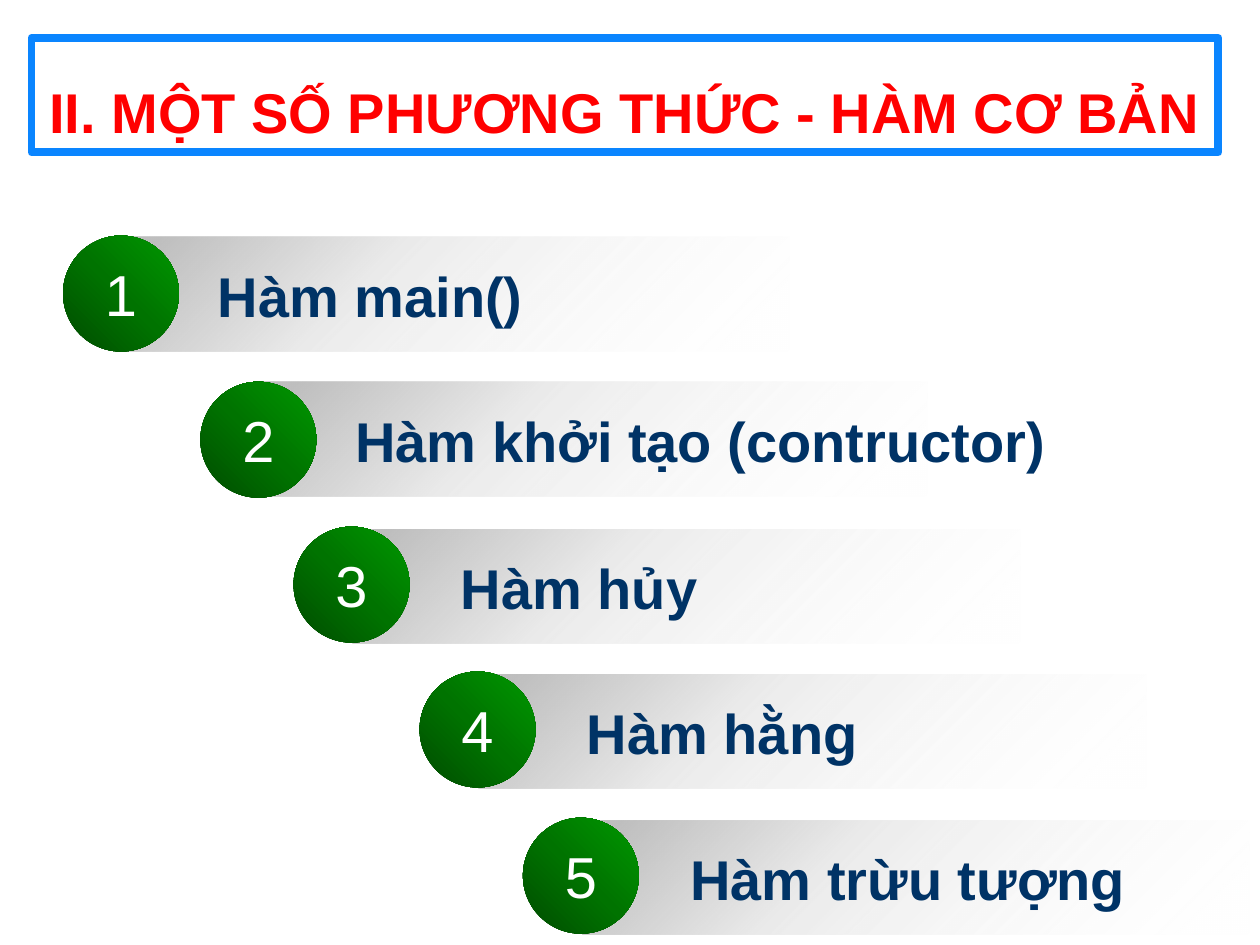
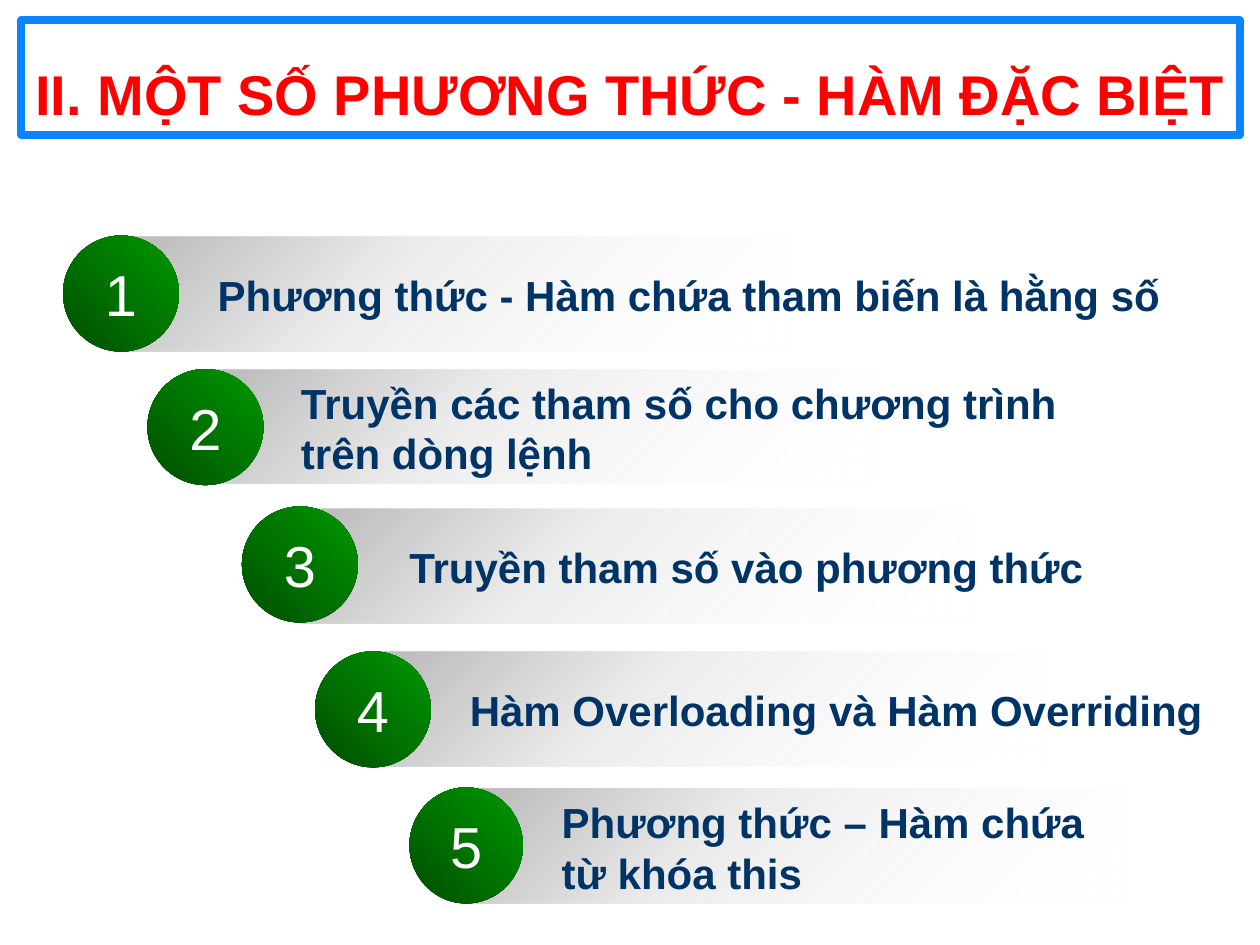
"""Builds two slides, each a framed title over five numbered steps."""
from lxml.etree import SubElement
from pptx import Presentation
from pptx.dml.color import RGBColor
from pptx.enum.shapes import MSO_SHAPE
from pptx.enum.text import MSO_ANCHOR, MSO_AUTO_SIZE, PP_ALIGN
from pptx.oxml import parse_xml
from pptx.util import Pt

PX = 9144
NS = "http://schemas.openxmlformats.org/drawingml/2006/main"
BAR_HEIGHT, BAR_WIDTH, BAR_INDENT, BADGE = 91, 530, 47, 92
TITLE_FORMAT = {"size": Pt(32), "bold": True, "name": "Arial"}
BADGE_FORMAT = {"size": Pt(33), "bold": False, "name": "Arial"}
GROW = {"word_wrap": True, "auto_size": MSO_AUTO_SIZE.SHAPE_TO_FIT_TEXT}
TITLE_FRAME = GROW | {"vertical_anchor": MSO_ANCHOR.TOP}
LABEL_FRAME = GROW | {"vertical_anchor": MSO_ANCHOR.MIDDLE}
BADGE_FRAME = {"word_wrap": False, "vertical_anchor": MSO_ANCHOR.MIDDLE,
               "margin_left": 6 * PX, "margin_right": 6 * PX,
               "margin_top": 7 * PX, "margin_bottom": 7 * PX}
BAR_FADE = (45, [(5, "BFBFBF", 100), (37, "BFBFBF", 31), (100, "FFFFFF", 0)])
BADGE_FADE = (315, [(0, "004C00", 100), (50, "007300", 100), (100, "009900", 100)])

AGENDAS = [
    ("II. MỘT SỐ PHƯƠNG THỨC - HÀM CƠ BẢN", (25, 30, 942, 91), 32, [
        ("Hàm main()", 50, 187, 1, 66, 470, 64, BAR_WIDTH),
        ("Hàm khởi tạo (contructor)", 159, 303, 0, 66, 579, 64, BAR_WIDTH),
        ("Hàm hủy", 233, 418, 2, 76, 454, 64, BAR_WIDTH),
        ("Hàm hằng", 333, 533, 2, 76, 454, 64, BAR_WIDTH),
        ("Hàm trừu tượng", 415, 649, 2, 76, 454, 64, BAR_WIDTH)]),
    ("II. MỘT SỐ PHƯƠNG THỨC - HÀM ĐẶC BIỆT", (17, 16, 967, 91), 24, [
        ("Phương thức - Hàm chứa tham biến là hằng số",
         50, 187, 1, 66, 796, 50, BAR_WIDTH),
        ("Truyền các tham số cho chương trình\vtrên dòng lệnh",
         117, 293, 0, 65, 679, 91, BAR_WIDTH),
        ("Truyền tham số vào phương thức", 192, 402, 2, 76, 686, 50, BAR_WIDTH),
        ("Hàm Overloading và Hàm Overriding", 250, 517, 0, 66, 621, 50, BAR_WIDTH),
        ("Phương thức – Hàm chứa từ khóa this", 325, 625, 1, 64, 456, 91, 520)]),
]


def color(value):
    return RGBColor.from_string(value)


def write(holder, text, ink, font_format, frame_format, align):
    frame = holder.text_frame
    for name, value in frame_format.items():
        setattr(frame, name, value)
    paragraph = frame.paragraphs[0]
    paragraph.text = text
    paragraph.alignment = align
    for run in paragraph.runs:
        run.font.color.rgb = color(ink)
        for name, value in font_format.items():
            setattr(run.font, name, value)
    return paragraph


deck = Presentation()
deck.slide_width, deck.slide_height = 1000 * PX, 750 * PX

for heading, heading_box, label_size, steps in AGENDAS:
    slide = deck.slides.add_slide(deck.slide_layouts[6])
    title = slide.shapes.add_shape(MSO_SHAPE.RECTANGLE, *[n * PX for n in heading_box])
    title.shadow.inherit = False
    title.fill.solid()
    title.fill.fore_color.rgb = color("FFFFFF")
    title.line.color.rgb = color("0A85FF")
    title.line.width = Pt(4.5)
    write(title, heading, "FF0000", TITLE_FORMAT, TITLE_FRAME,
          PP_ALIGN.CENTER).line_spacing = 1.5

    for number, step in enumerate(steps, 1):
        text, left, top, drop, label_indent, label_width, label_height, bar_width = step
        badge_width = round(BADGE * bar_width / BAR_WIDTH)
        bar_left, bar_top = left + BAR_INDENT, top + drop
        label_left = bar_left + label_indent
        label_top = bar_top + (BAR_HEIGHT + 2 - label_height) // 2

        bar = slide.shapes.add_shape(MSO_SHAPE.RECTANGLE, bar_left * PX, bar_top * PX,
                                     bar_width * PX, BAR_HEIGHT * PX)
        label = slide.shapes.add_textbox(label_left * PX, label_top * PX,
                                         label_width * PX, label_height * PX)
        badge = slide.shapes.add_shape(MSO_SHAPE.OVAL, left * PX, top * PX,
                                       badge_width * PX, BADGE * PX)
        write(label, text, "003366", TITLE_FORMAT | {"size": Pt(label_size)},
              LABEL_FRAME, PP_ALIGN.LEFT)
        write(badge, str(number), "FFFFFF", BADGE_FORMAT, BADGE_FRAME, PP_ALIGN.CENTER)

        for part, (angle, stops) in ((bar, BAR_FADE), (badge, BADGE_FADE)):
            part.shadow.inherit = False
            part.line.fill.background()
            part.fill.background()
            fade = parse_xml(f'<a:gradFill xmlns:a="{NS}" rotWithShape="1"/>')
            stop_list = SubElement(fade, f"{{{NS}}}gsLst")
            for position, shade, opacity in stops:
                stop = SubElement(stop_list, f"{{{NS}}}gs", pos=str(position * 1000))
                tone = SubElement(stop, f"{{{NS}}}srgbClr", val=str(color(shade)))
                SubElement(tone, f"{{{NS}}}alpha", val=str(opacity * 1000))
            SubElement(fade, f"{{{NS}}}lin", ang=str(angle * 60000), scaled="1")
            properties = part.element.spPr
            properties.replace(properties.find(f"{{{NS}}}noFill"), fade)

deck.save("out.pptx")
